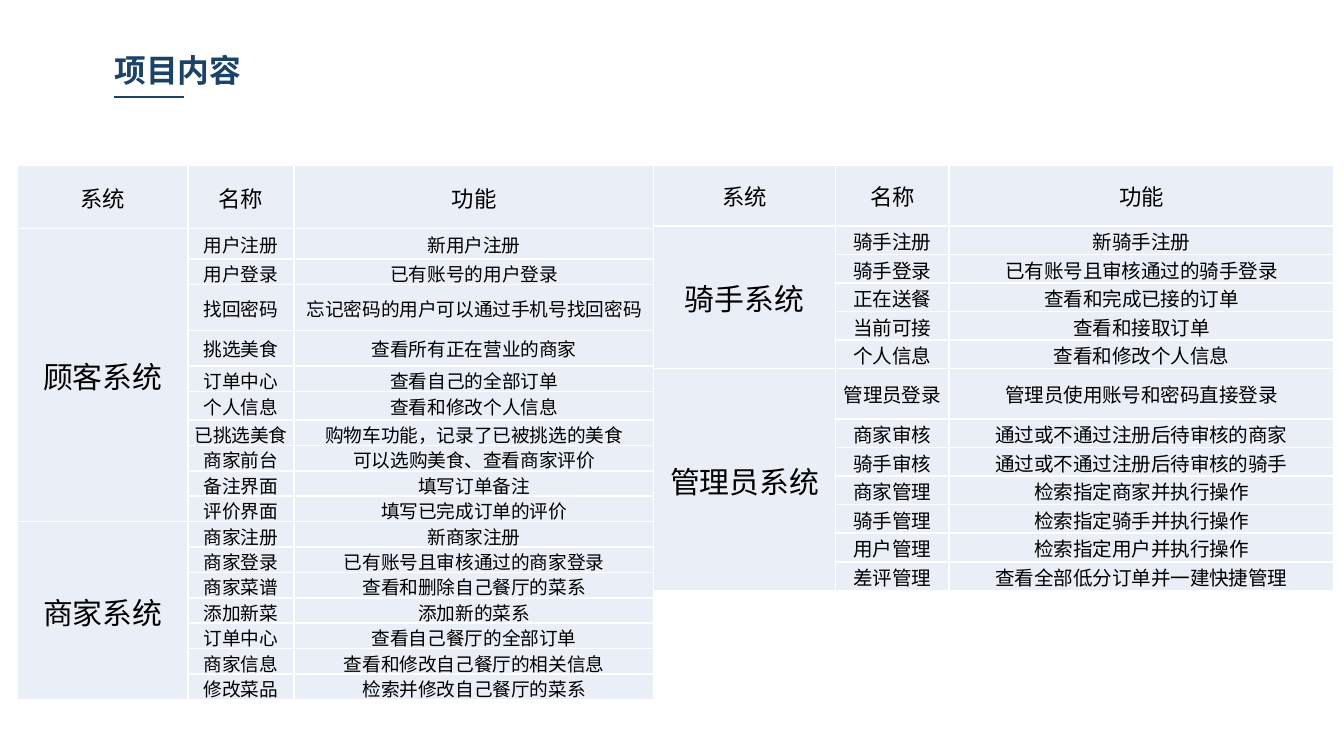
from dataclasses import dataclass

from lxml import etree
from pptx import Presentation
from pptx.dml.color import RGBColor
from pptx.enum.shapes import MSO_CONNECTOR
from pptx.enum.text import MSO_ANCHOR, PP_ALIGN
from pptx.oxml.ns import qn
from pptx.util import Cm, Pt

STRAIGHT = MSO_CONNECTOR.STRAIGHT
MIDDLE = MSO_ANCHOR.MIDDLE
LEFT = PP_ALIGN.LEFT
CENTER = PP_ALIGN.CENTER


@dataclass(frozen=True)
class Theme:
    font: str = "Noto Sans CJK SC"
    accent: str = "1B4367"
    text: str = "000000"
    cell: str = "EAEFF7"
    border: str = "FFFFFF"
    title_size: float = 17
    header_size: float = 12
    system_size: float = 16
    customer_size: float = 10
    rider_size: float = 10.5


THEME = Theme()
HEADERS = ("系统", "名称", "功能")

# Each system lists its functions as (name, description)
CUSTOMER_AND_SHOP = {
    "顾客系统": [
        ("用户注册", "新用户注册"),
        ("用户登录", "已有账号的用户登录"),
        ("找回密码", "忘记密码的用户可以通过手机号找回密码"),
        ("挑选美食", "查看所有正在营业的商家"),
        ("订单中心", "查看自己的全部订单"),
        ("个人信息", "查看和修改个人信息"),
        ("已挑选美食", "购物车功能，记录了已被挑选的美食"),
        ("商家前台", "可以选购美食、查看商家评价"),
        ("备注界面", "填写订单备注"),
        ("评价界面", "填写已完成订单的评价"),
    ],
    "商家系统": [
        ("商家注册", "新商家注册"),
        ("商家登录", "已有账号且审核通过的商家登录"),
        ("商家菜谱", "查看和删除自己餐厅的菜系"),
        ("添加新菜", "添加新的菜系"),
        ("订单中心", "查看自己餐厅的全部订单"),
        ("商家信息", "查看和修改自己餐厅的相关信息"),
        ("修改菜品", "检索并修改自己餐厅的菜系"),
    ],
}
RIDER_AND_ADMIN = {
    "骑手系统": [
        ("骑手注册", "新骑手注册"),
        ("骑手登录", "已有账号且审核通过的骑手登录"),
        ("正在送餐", "查看和完成已接的订单"),
        ("当前可接", "查看和接取订单"),
        ("个人信息", "查看和修改个人信息"),
    ],
    "管理员系统": [
        ("管理员登录", "管理员使用账号和密码直接登录"),
        ("商家审核", "通过或不通过注册后待审核的商家"),
        ("骑手审核", "通过或不通过注册后待审核的骑手"),
        ("商家管理", "检索指定商家并执行操作"),
        ("骑手管理", "检索指定骑手并执行操作"),
        ("用户管理", "检索指定用户并执行操作"),
        ("差评管理", "查看全部低分订单并一建快捷管理"),
    ],
}


def write_text(text_frame, text, size, color, alignment, bold=False):
    text_frame.text = text
    paragraph = text_frame.paragraphs[0]
    paragraph.alignment = alignment
    for run in paragraph.runs:
        font = run.font
        font.name = THEME.font
        font.size = Pt(size)
        font.bold = bold
        font.color.rgb = RGBColor.from_string(color)
        east_asian = etree.SubElement(font._element, qn("a:ea"))
        east_asian.set("typeface", THEME.font)


def add_title(slide, text):
    text_box = slide.shapes.add_textbox(Cm(1.98), Cm(0.86), Cm(6.27), Cm(0.92))
    text_frame = text_box.text_frame
    text_frame.word_wrap = True
    text_frame.margin_left = text_frame.margin_right = Cm(0.18)
    text_frame.margin_top = text_frame.margin_bottom = Cm(0.1)
    write_text(text_frame, text, THEME.title_size, THEME.accent, LEFT, bold=True)


def add_underline(slide):
    line = slide.shapes.add_connector(STRAIGHT, Cm(2.16), Cm(1.83), Cm(3.48), Cm(1.83))
    line.line.color.rgb = RGBColor.from_string(THEME.accent)
    line.line.width = Pt(0.75)
    etree.SubElement(line._element.spPr, qn("a:effectLst"))


def style_cell(cell):
    cell.margin_left = cell.margin_right = cell.margin_top = Cm(0.02)
    cell.margin_bottom = 0
    cell.vertical_anchor = MIDDLE
    properties = cell._tc.get_or_add_tcPr()
    for side in ("lnL", "lnR", "lnT", "lnB"):
        border = etree.SubElement(properties, qn(f"a:{side}"), w=str(Pt(1)))
        fill = etree.SubElement(border, qn("a:solidFill"))
        etree.SubElement(fill, qn("a:srgbClr"), val=THEME.border)
    cell.fill.solid()
    cell.fill.fore_color.rgb = RGBColor.from_string(THEME.cell)


def add_system_table(slide, left, widths, heights, systems, body_size):
    frame = slide.shapes.add_table(
        len(heights), len(widths), Cm(left), Cm(3.12), Cm(sum(widths)), Cm(sum(heights))
    )
    table = frame.table
    table.first_row = table.horz_banding = False
    for column, width in zip(table.columns, widths):
        column.width = Cm(width)
    for row, height in zip(table.rows, heights):
        row.height = Cm(height)
    for cell in table.iter_cells():
        style_cell(cell)

    def write_cell(row, column, text, size):
        text_frame = table.cell(row, column).text_frame
        write_text(text_frame, text, size, THEME.text, CENTER)

    # Header row
    for column, header in enumerate(HEADERS):
        write_cell(0, column, header, THEME.header_size)

    # One merged cell per system, beside its functions
    first = 1
    for system, functions in systems.items():
        last = first + len(functions) - 1
        table.cell(first, 0).merge(table.cell(last, 0))
        write_cell(first, 0, system, THEME.system_size)
        for row, (name, description) in enumerate(functions, first):
            write_cell(row, 1, name, body_size)
            write_cell(row, 2, description, body_size)
        first = last + 1


def main():
    presentation = Presentation()
    presentation.slide_width = Cm(25.4)
    presentation.slide_height = Cm(14.29)
    slide = presentation.slides.add_slide(presentation.slide_layouts[6])

    # Heading
    add_title(slide, "项目内容")
    add_underline(slide)

    # Customer and shop systems
    customer_heights = [1.2, 0.58, 0.48, 0.87, 0.67, 0.48, 0.54] + [0.48] * 11
    add_system_table(slide, 0.33, (3.22, 2.01, 6.8), customer_heights,
                     CUSTOMER_AND_SHOP, THEME.customer_size)

    # Rider and administrator systems
    rider_heights = [1.15] + [0.54] * 5 + [0.95] + [0.54] * 6
    add_system_table(slide, 12.35, (3.44, 2.15, 7.27), rider_heights,
                     RIDER_AND_ADMIN, THEME.rider_size)

    presentation.save("out.pptx")


if __name__ == "__main__":
    main()
